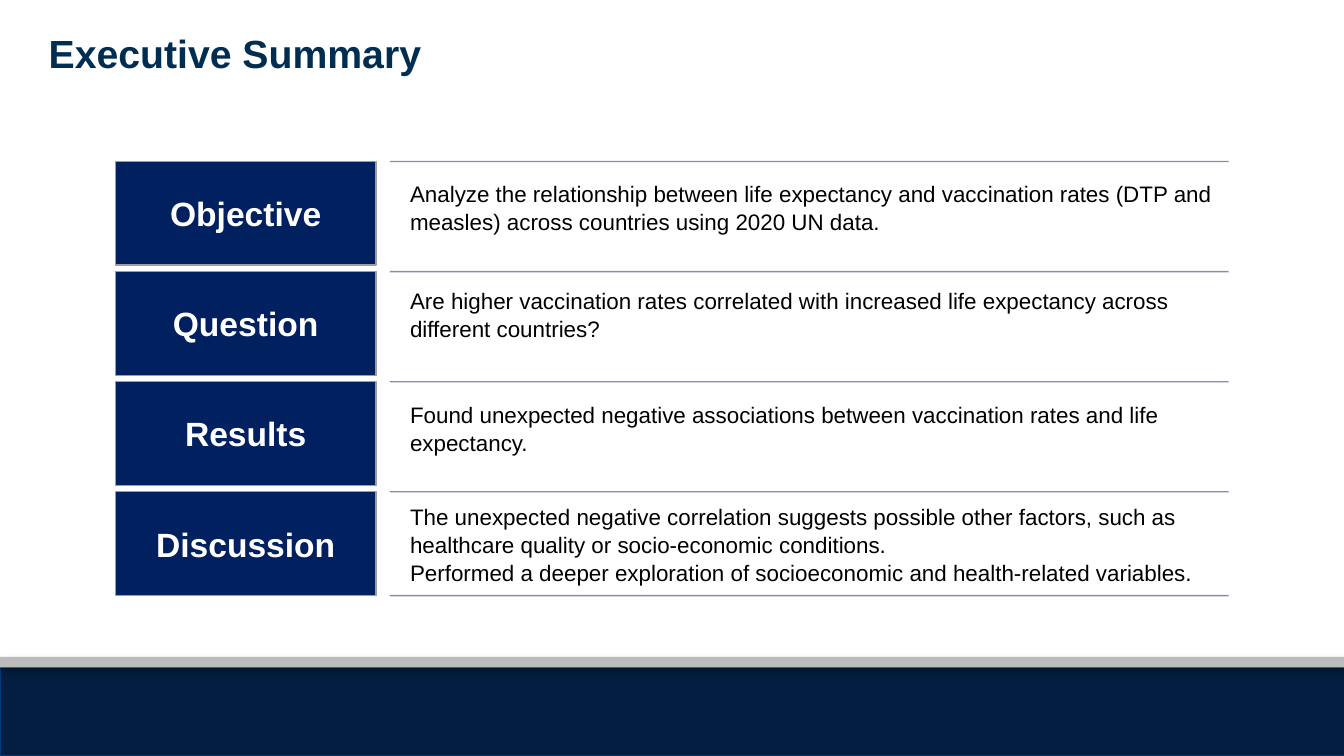
from lxml import etree
from pptx import Presentation
from pptx.dml.color import RGBColor
from pptx.enum.shapes import MSO_CONNECTOR, MSO_SHAPE
from pptx.enum.text import MSO_ANCHOR, PP_ALIGN
from pptx.oxml import parse_xml
from pptx.oxml.ns import qn
from pptx.util import Cm, Pt

RECTANGLE, STRAIGHT = MSO_SHAPE.RECTANGLE, MSO_CONNECTOR.STRAIGHT
TOP, MIDDLE = MSO_ANCHOR.TOP, MSO_ANCHOR.MIDDLE
LEFT, CENTER = PP_ALIGN.LEFT, PP_ALIGN.CENTER
TITLE_ONLY = 5

THEME = {
    "title": {"size": Pt(21), "bold": True, "color": "002D50"},
    "label": {"size": Pt(18), "bold": True, "color": "FFFFFF"},
    "body": {"size": Pt(12), "bold": False, "color": "000000"},
    "font": "Arial",
    "navy": "002060",
    "label_border": "9CA09C",
    "footer": "041E42",
    "footer_border": "00387C",
    "stripe": "BBBCBC",
    "hairline": Pt(0.75),
}
BAND_SHADOW = (
    '<a:effectLst xmlns:a="http://schemas.openxmlformats.org/drawingml/2006/main">'
    '<a:outerShdw blurRad="40000" dist="23000" dir="5400000" rotWithShape="0">'
    '<a:srgbClr val="000000"><a:alpha val="33000"/></a:srgbClr>'
    "</a:outerShdw></a:effectLst>"
)

# label, paragraphs, top and height of the text
ROWS = [
    ("Objective",
     ["Analyze the relationship between life expectancy and vaccination rates "
      "(DTP and measles) across countries using 2020 UN data."], 3.2, 1.65),
    ("Question",
     ["Are higher vaccination rates correlated with increased life expectancy "
      "across different countries?"], 5.21, 1.8),
    ("Results",
     ["Found unexpected negative associations between vaccination rates and "
      "life expectancy."], 7.37, 1.65),
    ("Discussion",
     ["The unexpected negative correlation suggests possible other factors, "
      "such as healthcare quality or socio-economic conditions.",
      "Performed a deeper exploration of socioeconomic and health-related "
      "variables."], 9.3, 1.65),
]
FIRST_TOP, ROW_STEP = 3.05, 2.08
LABEL_LEFT, LABEL_WIDTH, LABEL_HEIGHT = 2.18, 4.93, 1.96
RULE_LEFT, RULE_RIGHT = 7.37, 23.22


def write(shape, paragraphs, style, anchor=TOP, align=LEFT, inset=0.18, spacing=1.0):
    frame = shape.text_frame
    margins = {"margin_left": Cm(0.18), "margin_right": Cm(0.18),
               "margin_top": Cm(inset), "margin_bottom": Cm(inset)}
    for name, value in {"word_wrap": True, "vertical_anchor": anchor, **margins}.items():
        setattr(frame, name, value)
    frame.text = "\n".join(paragraphs)
    for para in frame.paragraphs:
        para.alignment = align
        para.line_spacing = spacing
        for span in para.runs:
            for name in ("size", "bold"):
                setattr(span.font, name, THEME[style][name])
            span.font.name = THEME["font"]
            span.font.color.rgb = RGBColor.from_string(THEME[style]["color"])


def add_rectangle(left, top, width, height, fill, border=None):
    box = page.shapes.add_shape(RECTANGLE, Cm(left), Cm(top), Cm(width), Cm(height))
    box.shadow.inherit = False
    box.fill.solid()
    box.fill.fore_color.rgb = RGBColor.from_string(fill)
    if border:
        box.line.color.rgb = RGBColor.from_string(border)
        box.line.width = THEME["hairline"]
    else:
        box.line.fill.background()
    return box


deck = Presentation()
deck.slide_width, deck.slide_height = Cm(25.4), Cm(14.28)
page = deck.slides.add_slide(deck.slide_layouts[TITLE_ONLY])

# Footer bands
footer = add_rectangle(0, 12.6, 25.45, 1.68, THEME["footer"], THEME["footer_border"])
stripe = add_rectangle(0, 12.41, 25.4, 0.2, THEME["stripe"])
for band in (footer, stripe):
    properties = band._element.spPr
    properties.replace(properties.find(qn("a:effectLst")), parse_xml(BAND_SHADOW))

# Title
title = page.shapes.title
place = {"left": Cm(0.74), "top": Cm(0.46), "width": Cm(22.86), "height": Cm(1.65)}
for name, value in place.items():
    setattr(title, name, value)
write(title, ["Executive Summary"], "title", inset=0.1)

# Labels and their texts
for index, (label, paragraphs, text_top, text_height) in enumerate(ROWS):
    box = add_rectangle(LABEL_LEFT, FIRST_TOP + index * ROW_STEP, LABEL_WIDTH,
                        LABEL_HEIGHT, THEME["navy"], THEME["label_border"])
    write(box, [label], "label", anchor=MIDDLE, align=CENTER)
    text = page.shapes.add_textbox(Cm(7.57), Cm(text_top), Cm(15.62), Cm(text_height))
    write(text, paragraphs, "body", spacing=1.05)

# Rules above each row and below the last one
rule_tops = [FIRST_TOP + index * ROW_STEP for index in range(len(ROWS))]
rule_tops.append(rule_tops[-1] + LABEL_HEIGHT)
for top in rule_tops:
    rule = page.shapes.add_connector(STRAIGHT, Cm(RULE_LEFT), Cm(top), Cm(RULE_RIGHT), Cm(top))
    rule.line.color.rgb = RGBColor.from_string(THEME["navy"])
    rule.line.width = THEME["hairline"]
    color = rule._element.spPr.find(".//" + qn("a:srgbClr"))
    etree.SubElement(color, qn("a:alpha"), val="49000")
    etree.SubElement(rule._element.spPr, qn("a:effectLst"))

deck.save("out.pptx")
